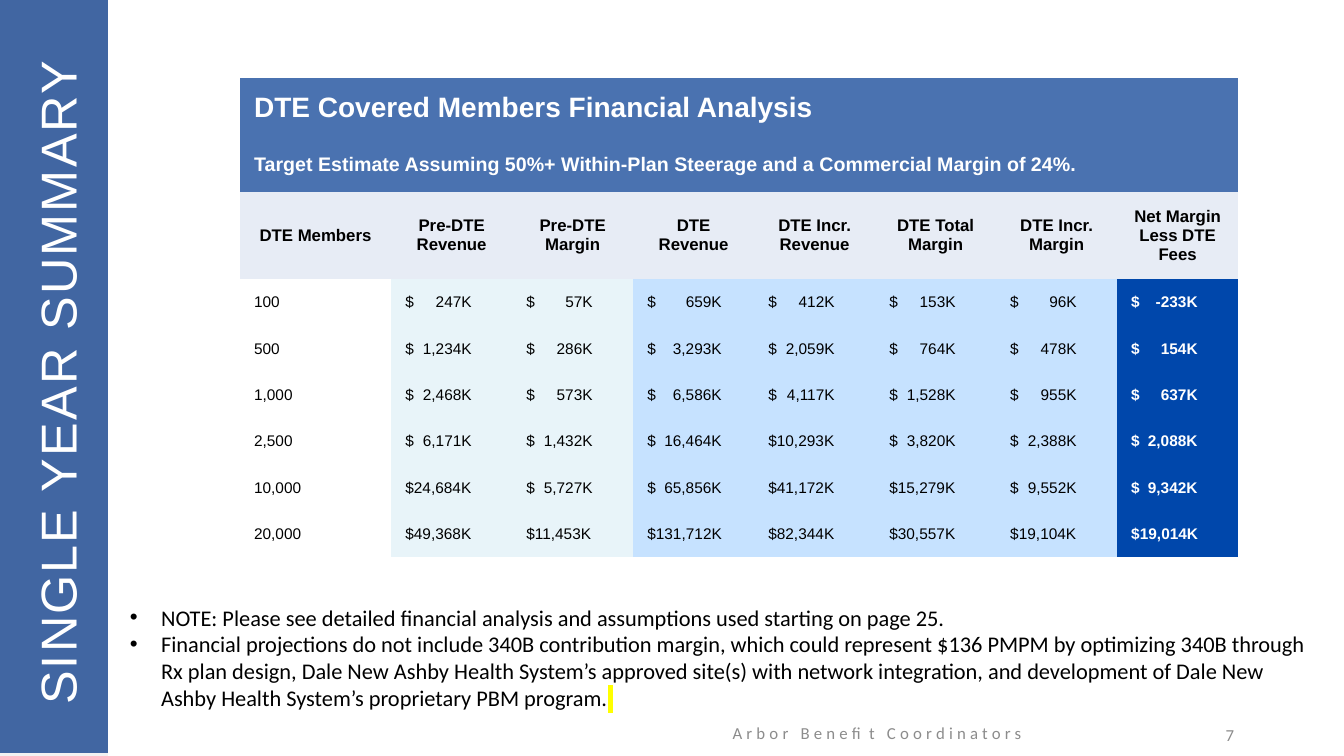
from dataclasses import dataclass

from lxml.etree import SubElement
from pptx import Presentation
from pptx.dml.color import RGBColor
from pptx.enum.shapes import MSO_SHAPE as Shape
from pptx.enum.text import MSO_ANCHOR as Anchor, PP_ALIGN as Align
from pptx.oxml.ns import qn
from pptx.slide import Slide
from pptx.table import Table
from pptx.text.text import TextFrame
from pptx.util import Pt

PX = 9144  # 100 px to the inch
INK = {
    "white": "FFFFFF", "black": "000000", "gray": "8C8C8C", "light": "F2F2F2",
    "bar": "254F96", "band": "4A72B0", "head": "E7ECF5", "pale": "E8F4F9",
    "sky": "C6E2FF", "net": "0047AB", "mark": "FFFF00",
}


@dataclass(frozen=True)
class Box:
    left: int
    top: int
    width: int
    height: int

    def emu(self) -> list[int]:
        return [n * PX for n in (self.left, self.top, self.width, self.height)]


@dataclass(frozen=True)
class Style:
    size: int
    font: str = "Arial"
    ink: str = "black"
    bold: bool = False
    gap: float = 0
    mark: str = ""


@dataclass(frozen=True)
class Label:
    text: str
    box: Box
    style: Style
    align: Align = Align.LEFT
    turn: int = 0
    inset: int = 5


@dataclass(frozen=True)
class Column:
    head: str
    width: int
    fill: str
    tab: int
    style: Style


def color(name: str) -> RGBColor:
    return RGBColor.from_string(INK[name])


def add_run(para, text: str, style: Style) -> None:
    run = para.add_run()
    run.text = text
    font = run.font
    font.size, font.name, font.bold = Pt(style.size), style.font, style.bold
    font.color.rgb = color(style.ink)
    props = run._r.get_or_add_rPr()
    if style.gap:
        props.set("spc", str(round(style.gap * 100)))
    if style.mark:
        light = SubElement(props, qn("a:highlight"))
        SubElement(light, qn("a:srgbClr"), val=INK[style.mark])
        props.find(qn("a:latin")).addprevious(light)


def add_bar(slide: Slide, box: Box, fill: str, alpha: int = 100) -> None:
    bar = slide.shapes.add_shape(Shape.RECTANGLE, *box.emu())
    bar.shadow.inherit = False
    bar.fill.solid()
    bar.fill.fore_color.rgb = color(fill)
    bar.line.fill.background()
    if alpha < 100:
        tint = bar._element.spPr.find(f"{qn('a:solidFill')}/{qn('a:srgbClr')}")
        SubElement(tint, qn("a:alpha"), val=str(alpha * 1000))


def add_frame(slide: Slide, box: Box, turn: int = 0) -> TextFrame:
    shape = slide.shapes.add_textbox(*box.emu())
    shape.rotation = turn
    shape.text_frame.word_wrap = True
    return shape.text_frame


def add_label(slide: Slide, label: Label) -> None:
    frame = add_frame(slide, label.box, label.turn)
    frame.vertical_anchor = Anchor.MIDDLE
    frame.margin_top = label.inset * PX
    para = frame.paragraphs[0]
    para.alignment = label.align
    add_run(para, label.text, label.style)


def add_notes(slide: Slide, box: Box, notes: list[list[tuple[str, Style]]]) -> None:
    """Bulleted list, each item a list of styled runs."""
    frame = add_frame(slide, box)
    for i, runs in enumerate(notes):
        para = frame.add_paragraph() if i else frame.paragraphs[0]
        props = para._p.get_or_add_pPr()
        props.set("marL", str(31 * PX))
        props.set("indent", str(-31 * PX))
        SubElement(props, qn("a:buFont"), typeface="Arial")
        SubElement(props, qn("a:buChar"), char="•")
        for text, style in runs:
            add_run(para, text, style)


def fill_cell(table: Table, row: int, col: int, text: str, style: Style,
              fill: str, align: Align = Align.LEFT, tab: int = 0) -> None:
    cell = table.cell(row, col)
    cell.margin_left = cell.margin_right = 14 * PX
    cell.margin_top = cell.margin_bottom = 0
    cell.vertical_anchor = Anchor.MIDDLE
    if fill:
        cell.fill.solid()
        cell.fill.fore_color.rgb = color(fill)
    else:
        cell.fill.background()
    para = cell.text_frame.paragraphs[0]
    para.alignment = align
    if tab:
        tabs = SubElement(para._p.get_or_add_pPr(), qn("a:tabLst"))
        SubElement(tabs, qn("a:tab"), pos=str(tab * PX), algn="r")
    add_run(para, text, style)


BODY, NET = Style(11), Style(11, ink="white", bold=True)
COLS = [
    Column("DTE Members", 150, "", 0, BODY),
    Column("Pre-DTE Revenue", 120, "pale", 66, BODY),
    Column("Pre-DTE Margin", 120, "pale", 66, BODY),
    Column("DTE Revenue", 120, "sky", 74, BODY),
    Column("DTE Incr. Revenue", 120, "sky", 66, BODY),
    Column("DTE Total Margin", 120, "sky", 66, BODY),
    Column("DTE Incr. Margin", 120, "sky", 66, BODY),
    Column("Net Margin Less DTE Fees", 120, "net", 66, NET),
]
BANDS = [
    ("DTE Covered Members Financial Analysis", 20),
    ("Target Estimate Assuming 50%+ Within-Plan Steerage and a "
     "Commercial Margin of 24%.", 14),
]
# A space after the dollar sign stands for a tab to the column's right edge.
DATA = [
    ["100", "$ 247K", "$ 57K", "$ 659K", "$ 412K", "$ 153K", "$ 96K", "$ -233K"],
    ["500", "$ 1,234K", "$ 286K", "$ 3,293K", "$ 2,059K", "$ 764K", "$ 478K", "$ 154K"],
    ["1,000", "$ 2,468K", "$ 573K", "$ 6,586K", "$ 4,117K", "$ 1,528K", "$ 955K", "$ 637K"],
    ["2,500", "$ 6,171K", "$ 1,432K", "$ 16,464K", "$10,293K", "$ 3,820K", "$ 2,388K", "$ 2,088K"],
    ["10,000", "$24,684K", "$ 5,727K", "$ 65,856K", "$41,172K", "$15,279K", "$ 9,552K", "$ 9,342K"],
    ["20,000", "$49,368K", "$11,453K", "$131,712K", "$82,344K", "$30,557K", "$19,104K", "$19,014K"],
]
ROWS = [60, 53, 87] + [46] * len(DATA)
NOTE = Style(16, "Calibri")
NOTES = [
    [("NOTE: Please see detailed financial analysis and assumptions used "
      "starting on page 25.", NOTE)],
    [("Financial projections do not include 340B contribution margin, which could "
      "represent $136 PMPM by optimizing 340B through Rx plan design, Dale New Ashby "
      "Health System’s approved site(s) with network integration, and development of "
      "Dale New Ashby Health System’s proprietary PBM program.", NOTE),
     (" ", Style(16, "Calibri", gap=7.2, mark="mark"))],
]
LABELS = [
    Label("Arbor Benefit Coordinators", Box(645, 707, 450, 40),
          Style(12, "Calibri", "gray", gap=3), Align.CENTER),
    Label("7", Box(934, 709, 300, 40), Style(12, "Calibri", "gray"), Align.RIGHT),
    Label("SINGLE YEAR SUMMARY", Box(-283, 332, 672, 82),
          Style(36, ink="white", gap=1.5), turn=270, inset=11),
]


def add_grid(slide: Slide) -> None:
    box = Box(238, 77, sum(c.width for c in COLS), sum(ROWS))
    table = slide.shapes.add_table(len(ROWS), len(COLS), *box.emu()).table
    props = table._tbl.tblPr
    props.find(qn("a:tableStyleId")).text = "{2D5ABB26-0587-4C30-8999-92F81FD0307C}"
    table.first_row = table.horz_banding = False
    for row, height in zip(table.rows, ROWS):
        row.height = height * PX
    for i, (text, size) in enumerate(BANDS):
        table.cell(i, 0).merge(table.cell(i, len(COLS) - 1))
        fill_cell(table, i, 0, text, Style(size, ink="white", bold=True), "band")
    for j, col in enumerate(COLS):
        table.columns[j].width = col.width * PX
        fill_cell(table, 2, j, col.head, Style(12, bold=True), "head", Align.CENTER)
        for i, line in enumerate(DATA, start=3):
            text = line[j].replace(" ", "\t")
            fill_cell(table, i, j, text, col.style, col.fill, tab=col.tab)


def main() -> None:
    deck = Presentation()
    deck.slide_width, deck.slide_height = 1333 * PX, 750 * PX
    slide = deck.slides.add_slide(deck.slide_layouts[6])
    add_bar(slide, Box(0, 0, 107, 750), "light")
    add_bar(slide, Box(0, -3, 107, 750), "bar", alpha=86)
    for label in LABELS:
        add_label(slide, label)
    add_notes(slide, Box(119, 594, 1190, 118), NOTES)
    add_grid(slide)
    deck.save("out.pptx")


if __name__ == "__main__":
    main()
